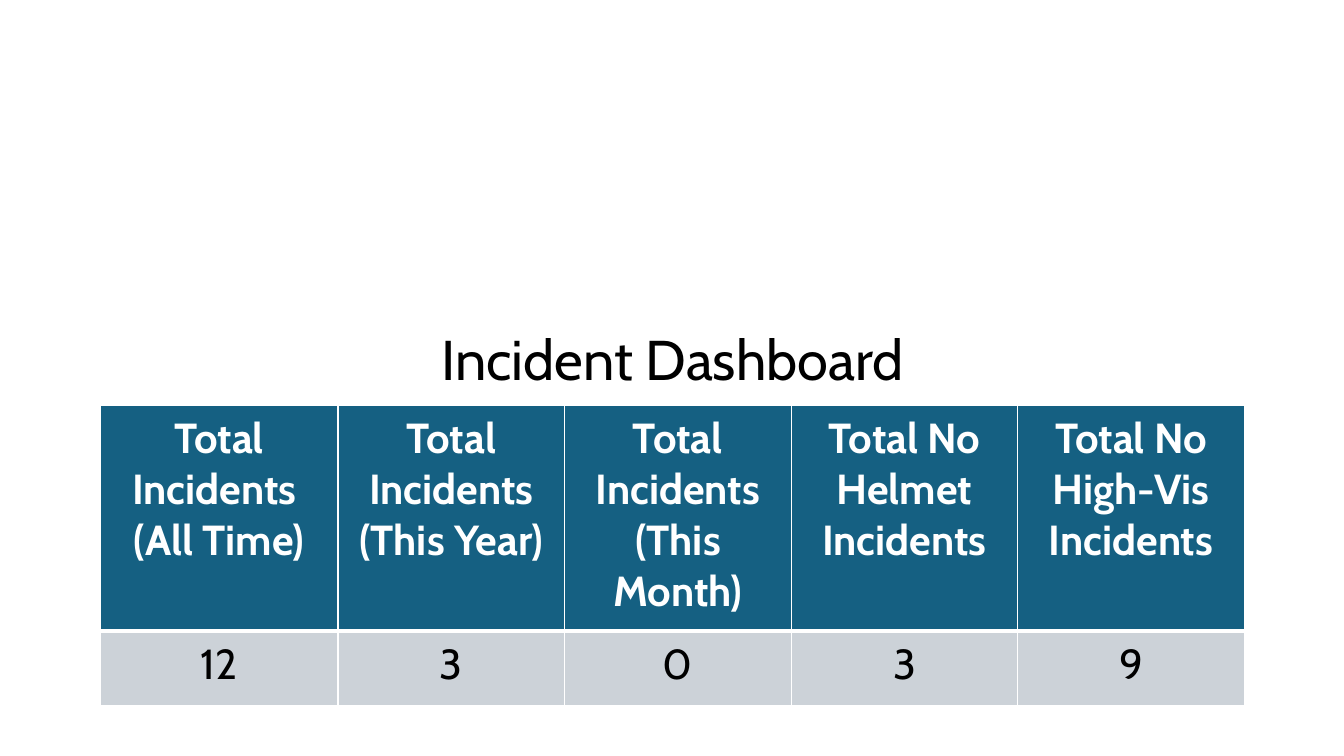
from lxml import etree
from pptx import Presentation
from pptx import util as u
from pptx.dml.color import RGBColor
from pptx.enum import shapes, text
from pptx.oxml.ns import qn

COLORS = {"white": "FFFFFF", "black": "000000", "header": "156082", "body": "CCD2D8"}
INCIDENT_TOTALS = [
    ("Total Incidents \n(All Time)", "12"),
    ("Total Incidents (This Year)", "3"),
    ("Total Incidents (This Month)", "0"),
    ("Total No Helmet Incidents", "3"),
    ("Total No High-Vis Incidents", "9"),
]


class SlideBuilder:
    font_name = "Cabin"

    def __init__(self, presentation):
        self.slide = presentation.slides.add_slide(presentation.slide_layouts[5])

    def color(self, name):
        return RGBColor.from_string(COLORS[name])

    def format_text(self, text_frame, size, color, bold=False):
        text_frame.word_wrap = True
        for paragraph in text_frame.paragraphs:
            paragraph.alignment = text.PP_ALIGN.CENTER
            for run in paragraph.runs:
                run.font.name = self.font_name
                run.font.size = u.Pt(size)
                run.font.bold = bold
                run.font.color.rgb = self.color(color)

    def title(self, wording, left, top, width, height):
        title = self.slide.shapes.title
        title.left, title.top = u.Cm(left), u.Cm(top)
        title.width, title.height = u.Cm(width), u.Cm(height)
        title.text_frame.text = wording
        title.text_frame.vertical_anchor = text.MSO_ANCHOR.MIDDLE
        title.text_frame.paragraphs[0].line_spacing = 0.9
        self.format_text(title.text_frame, 40, "black")

    def band(self, left, top, width, height):
        """Add a plain white rectangle behind the title."""
        band = self.slide.shapes.add_shape(
            shapes.MSO_SHAPE.RECTANGLE, u.Cm(left), u.Cm(top), u.Cm(width), u.Cm(height))
        band.shadow.inherit = False
        band.fill.solid()
        band.fill.fore_color.rgb = self.color("white")
        band.line.fill.background()
        self.slide.shapes.title.element.addprevious(band.element)

    def cell_borders(self, cell, widths):
        """Draw white borders; widths maps each side (L, R, T, B) to points."""
        properties = cell._tc.get_or_add_tcPr()
        for position, (side, width) in enumerate(widths.items()):
            line = etree.Element(qn(f"a:ln{side}"), w=str(u.Pt(width)))
            fill = etree.SubElement(line, qn("a:solidFill"))
            etree.SubElement(fill, qn("a:srgbClr"), val=COLORS["white"])
            properties.insert(position, line)

    def cell(self, cell, wording, is_header):
        cell.text_frame.text = wording
        cell.margin_left = cell.margin_right = u.Cm(0.43)
        cell.margin_top = cell.margin_bottom = u.Cm(0.2)
        cell.fill.solid()
        cell.fill.fore_color.rgb = self.color("header" if is_header else "body")
        self.format_text(cell.text_frame, 30, "white" if is_header else "black", is_header)
        self.cell_borders(cell, {"L": 1, "R": 1, "T": 1 if is_header else 3,
                                 "B": 3 if is_header else 1})

    def table(self, rows, left, top, column_widths, row_heights):
        table = self.slide.shapes.add_table(
            len(rows), len(column_widths), u.Cm(left), u.Cm(top),
            u.Cm(sum(column_widths)), u.Cm(sum(row_heights))).table
        for column, width in zip(table.columns, column_widths):
            column.width = u.Cm(width)
        for row_index, (values, height) in enumerate(zip(rows, row_heights)):
            table.rows[row_index].height = u.Cm(height)
            for column_index, wording in enumerate(values):
                self.cell(table.cell(row_index, column_index), wording, row_index == 0)


def main():
    presentation = Presentation()
    presentation.slide_width, presentation.slide_height = u.Cm(33.87), u.Cm(19.05)
    builder = SlideBuilder(presentation)
    builder.title("Incident Dashboard", 3.1, 6.88, 27.69, 4.5)
    builder.band(0, 0, 33.87, 7.06)
    builder.table(list(zip(*INCIDENT_TOTALS)), 2.52, 10.21, [6] + [5.71] * 4, [5.69, 1.88])
    presentation.save("out.pptx")


if __name__ == "__main__":
    main()
